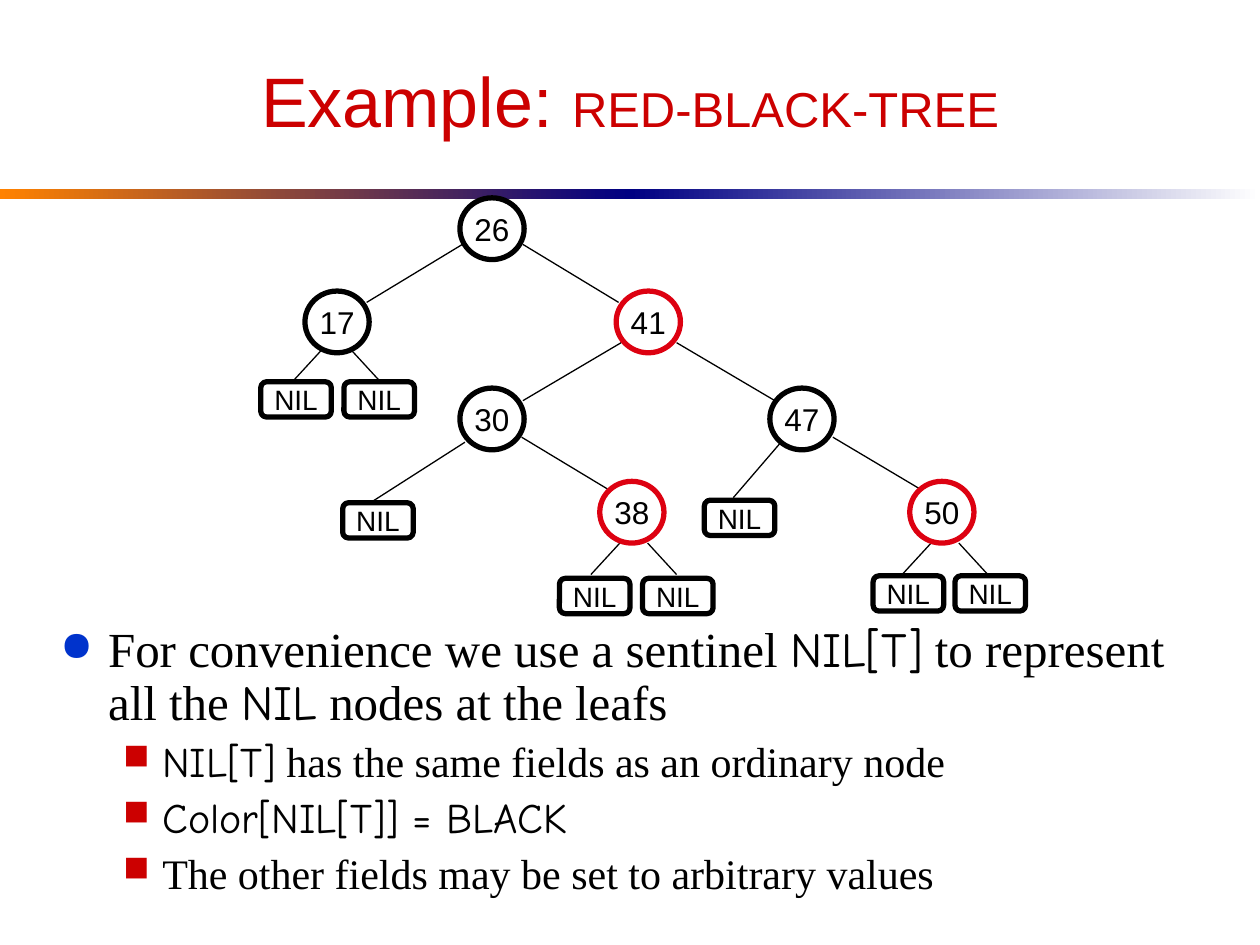
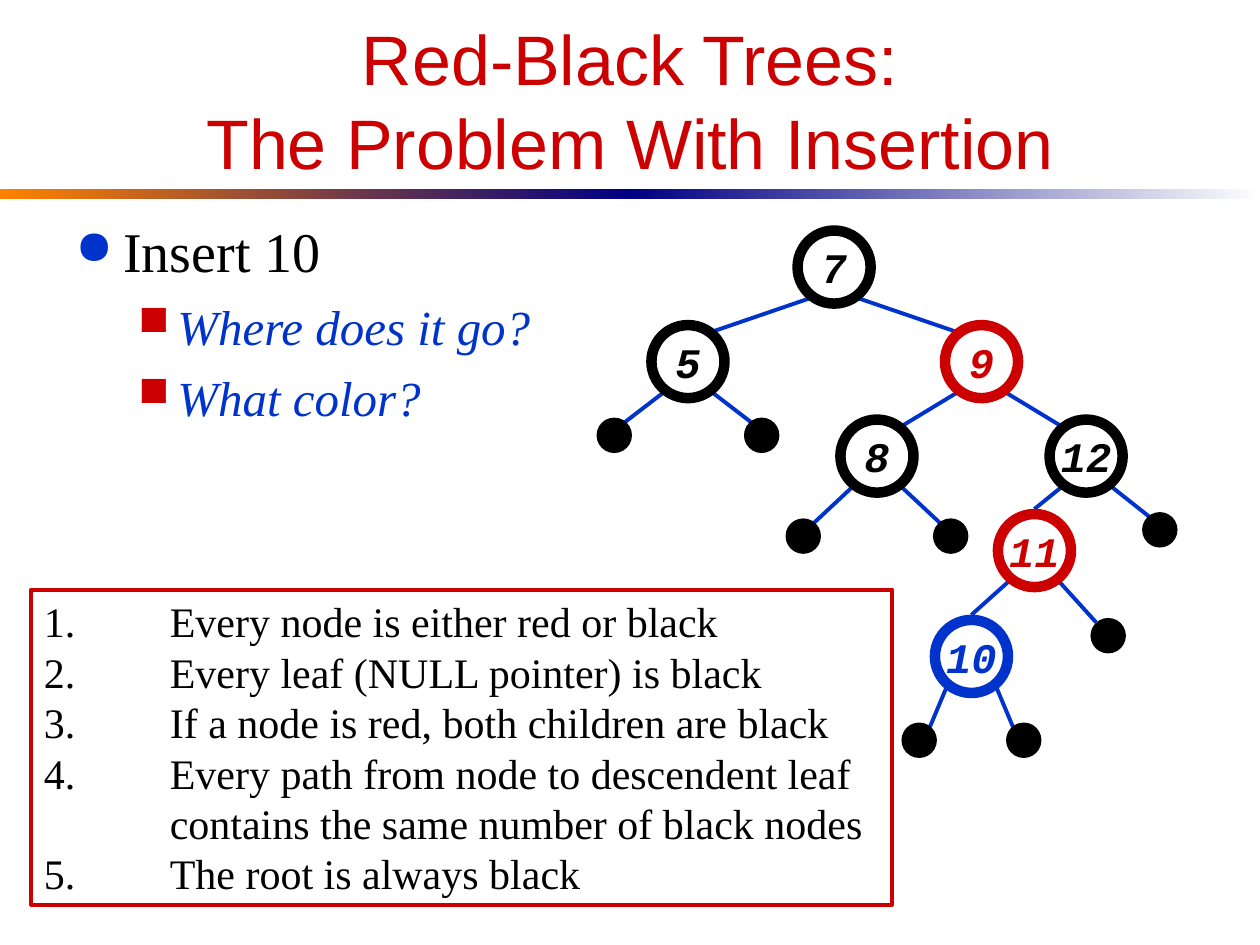
from dataclasses import dataclass
from lxml.etree import SubElement
from pptx import Presentation
from pptx.dml.color import RGBColor
from pptx.enum.shapes import MSO_CONNECTOR, MSO_SHAPE
from pptx.enum.text import MSO_ANCHOR, PP_ALIGN
from pptx.oxml.ns import qn
from pptx.util import Inches, Pt


@dataclass(frozen=True)
class Theme:
    red: str = "CC0000"
    rose: str = "DD0111"
    blue: str = "0033CC"
    navy: str = "000082"
    gold: str = "FF8200"
    black: str = "000000"
    white: str = "FFFFFF"
    sans: str = "Arial"
    serif: str = "Times New Roman"
    hand: str = "Comic Neue"
    mono: str = "Courier New"
    title: int = 40
    large: int = 32
    body: int = 28
    small: int = 24
    key: int = 18
    nil: int = 16


T = Theme()


def style(font, name, size, color=T.black, bold=False, italic=False):
    font.name, font.size = name, Pt(size)
    font.color.rgb = RGBColor.from_string(color)
    font.bold, font.italic = bold, italic


def draw(slide, kind, x, y, w, h, fill=None, line=None, width=0):
    shape = slide.shapes.add_shape(kind, Inches(x), Inches(y), Inches(w), Inches(h))
    shape.shadow.inherit = False
    if fill:
        shape.fill.solid()
        shape.fill.fore_color.rgb = RGBColor.from_string(fill)
    else:
        shape.fill.background()
    if line:
        shape.line.color.rgb = RGBColor.from_string(line)
        shape.line.width = Pt(width)
    else:
        shape.line.fill.background()
    return shape


# Node looks: shape, width, height, line width, fill, font, size, bold italic
looks = {
    "key": (MSO_SHAPE.OVAL, 0.51, 0.49, 3, None, T.sans, T.key, False),
    "nil": (MSO_SHAPE.ROUNDED_RECTANGLE, 0.56, 0.28, 3, None, T.sans, T.nil, False),
    "ring": (MSO_SHAPE.OVAL, 0.58, 0.58, 6, T.white, T.mono, T.small, True),
    "leaf": (MSO_SHAPE.OVAL, 0.25, 0.25, 2.25, T.black, T.mono, T.small, True),
}

# Forks are mirrored edge pairs: centre x, top y, bottom y, half width at top and bottom
# Body items: level, size, colour, italic, runs of (text, font)
pages = [
    {
        "title": [("Example: ", T.title), ("RED-BLACK-TREE", T.body)],
        "place": (0.38, 4.91, 9.34, 2.36),
        "space": (0.9, 6),
        "body": [
            (0, T.body, T.black, False, [
                ("For convenience we use a sentinel ", T.serif), ("NIL[T]", T.hand),
                (" to represent all the ", T.serif), ("NIL", T.hand),
                (" nodes at the leafs", T.serif)]),
            (1, T.small, T.black, False, [
                ("NIL[T]", T.hand),
                (" has the same fields as an ordinary node", T.serif)]),
            (1, T.small, T.black, False, [("Color[NIL[T]] = BLACK", T.hand)]),
            (1, T.small, T.black, False, [
                ("The other fields may be set to arbitrary values", T.serif)]),
        ],
        "pen": (T.black, 0.75),
        "forks": [
            (3.91, 1.94, 2.4, 0.24, 1), (5.15, 2.72, 3.18, 0.22, 1),
            (2.67, 2.77, 3.02, 0.11, 0.34), (5.03, 4.31, 4.56, 0.11, 0.34),
            (7.5, 4.31, 4.56, 0.11, 0.34),
        ],
        "edges": [
            (4.14, 3.47, 4.82, 3.88), (6.61, 3.47, 7.3, 3.88),
            (3.69, 3.51, 2.94, 3.99), (6.19, 3.52, 5.82, 3.95),
        ],
        "nodes": [
            ("key", T.black, [(3.65, 1.57, "26"), (2.42, 2.31, "17"),
                              (3.65, 3.08, "30"), (6.11, 3.08, "47")]),
            ("key", T.rose, [(4.89, 2.31, "41"), (4.76, 3.82, "38"), (7.22, 3.82, "50")]),
            ("nil", T.black, [(x, y, "NIL") for x, y in (
                (2.07, 3.03), (2.73, 3.03), (2.72, 3.99), (4.44, 4.59),
                (5.1, 4.59), (6.93, 4.57), (7.58, 4.57), (5.59, 3.97))]),
        ],
    },
    {
        "title": [("Red-Black Trees:", T.title), ("The Problem With Insertion", T.title)],
        "place": (0.5, 1.67, 9, 4.75),
        "space": (1, 7),
        "body": [
            (0, T.large, T.black, False, [("Insert 10", T.serif)]),
            (1, T.body, T.blue, True, [("Where does it go?", T.serif)]),
            (1, T.body, T.blue, True, [("What color?", T.serif)]),
        ],
        "pen": (T.blue, 2.25),
        "forks": [
            (6.62, 2.37, 2.63, 0.2, 0.96), (5.46, 3.12, 3.35, 0.2, 0.5),
            (7.79, 3.12, 3.38, 0.2, 0.63), (6.96, 3.87, 4.15, 0.2, 0.5),
            (7.71, 5.46, 5.77, 0.2, 0.33),
        ],
        "edges": [
            (8.42, 3.87, 8.21, 4.04), (8.83, 3.87, 9.12, 4.1),
            (8, 4.62, 7.71, 4.88), (8.41, 4.62, 8.7, 4.94),
        ],
        "nodes": [
            ("leaf", T.black, [(x, y, "") for x, y in (
                (4.75, 3.33), (5.92, 3.33), (9.08, 4.08), (6.25, 4.13),
                (7.42, 4.13), (8.67, 4.92), (7.17, 5.75), (8, 5.75))]),
            ("ring", T.black, [(6.33, 1.83, "7"), (5.17, 2.58, "5"),
                               (6.67, 3.33, "8"), (8.33, 3.33, "12")]),
            ("ring", T.red, [(7.5, 2.58, "9"), (7.92, 4.08, "11")]),
            ("ring", T.blue, [(7.42, 4.92, "10")]),
        ],
    },
]

deck = Presentation()
deck.slide_width, deck.slide_height = Inches(10), Inches(7.5)

for page in pages:
    slide = deck.slides.add_slide(deck.slide_layouts[6])

    # Gradient band
    for x, start, end in ((0, T.gold, T.navy), (5, T.navy, T.white)):
        band = draw(slide, MSO_SHAPE.RECTANGLE, x, 1.5, 5, 0.08)
        band.fill.gradient()
        band.fill.gradient_angle = 0
        for stop, color in zip(band.fill.gradient_stops, (start, end)):
            stop.color.rgb = RGBColor.from_string(color)

    # Title
    box = slide.shapes.add_textbox(Inches(0.5), Inches(0.25), Inches(9), Inches(1.08))
    frame = box.text_frame
    frame.word_wrap, frame.vertical_anchor = True, MSO_ANCHOR.MIDDLE
    para = frame.paragraphs[0]
    para.alignment = PP_ALIGN.CENTER
    (first, big), (last, size) = page["title"]
    if size == big:
        para.text = first + "\v" + last
        style(para.font, T.sans, big, T.red)
    else:
        for text, size in page["title"]:
            run = para.add_run()
            run.text = text
            style(run.font, T.sans, size, T.red)

    # Bulleted body
    box = slide.shapes.add_textbox(*map(Inches, page["place"]))
    frame = box.text_frame
    frame.word_wrap = True
    lead, gap = page["space"]
    for i, (level, size, color, slant, runs) in enumerate(page["body"]):
        para = frame.add_paragraph() if i else frame.paragraphs[0]
        para.level, para.line_spacing = level, lead
        para.space_before = Pt(gap if i else 0)
        left, hang, mark, tint = ((0.38, 0.38, "●", T.blue), (0.81, 0.31, "■", T.red))[level]
        props = para._p.get_or_add_pPr()
        props.set("marL", str(Inches(left)))
        props.set("indent", str(-Inches(hang)))
        SubElement(SubElement(props, qn("a:buClr")), qn("a:srgbClr"), val=tint)
        SubElement(props, qn("a:buSzPct"), val="85000")
        SubElement(props, qn("a:buChar"), char=mark)
        for text, name in runs:
            run = para.add_run()
            run.text = text
            font = run.font if len(runs) > 1 else para.font
            style(font, name, size, color, italic=slant)

    # Tree edges
    edges = list(page["edges"])
    for mid, top, low, near, far in page["forks"]:
        edges += [(mid + s * near, top, mid + s * far, low) for s in (-1, 1)]
    color, width = page["pen"]
    for ends in edges:
        edge = slide.shapes.add_connector(MSO_CONNECTOR.STRAIGHT, *map(Inches, ends))
        edge.line.color.rgb = RGBColor.from_string(color)
        edge.line.width = Pt(width)
        SubElement(edge._element.spPr, qn("a:effectLst"))

    # Tree nodes
    for look, color, spots in page["nodes"]:
        kind, w, h, width, fill, name, size, strong = looks[look]
        for x, y, text in spots:
            node = draw(slide, kind, x, y, w, h, fill, color, width)
            if text:
                frame = node.text_frame
                frame.word_wrap, frame.vertical_anchor = False, MSO_ANCHOR.MIDDLE
                para = frame.paragraphs[0]
                para.text, para.alignment = text, PP_ALIGN.CENTER
                ink = color if look == "ring" else T.black
                style(para.font, name, size, ink, strong, strong)

# Rules of the tree, on the last slide
rules = [
    "Every node is either red or black",
    "Every leaf (NULL pointer) is black",
    "If a node is red, both children are black",
    "Every path from node to descendent leaf\vcontains the same number of black nodes",
    "The root is always black",
]
card = draw(slide, MSO_SHAPE.RECTANGLE, 0.25, 4.68, 6.83, 2.5, None, T.red, 2.25)
frame = card.text_frame
frame.word_wrap, frame.vertical_anchor = True, MSO_ANCHOR.MIDDLE
for i, rule in enumerate(rules):
    para = frame.add_paragraph() if i else frame.paragraphs[0]
    para.text, para.alignment = f"{i + 1}.\t{rule}", PP_ALIGN.LEFT
    props = para._p.get_or_add_pPr()
    props.set("marL", str(Inches(1)))
    props.set("indent", str(-Inches(1)))
    style(para.font, T.serif, T.small)

deck.save("out.pptx")
